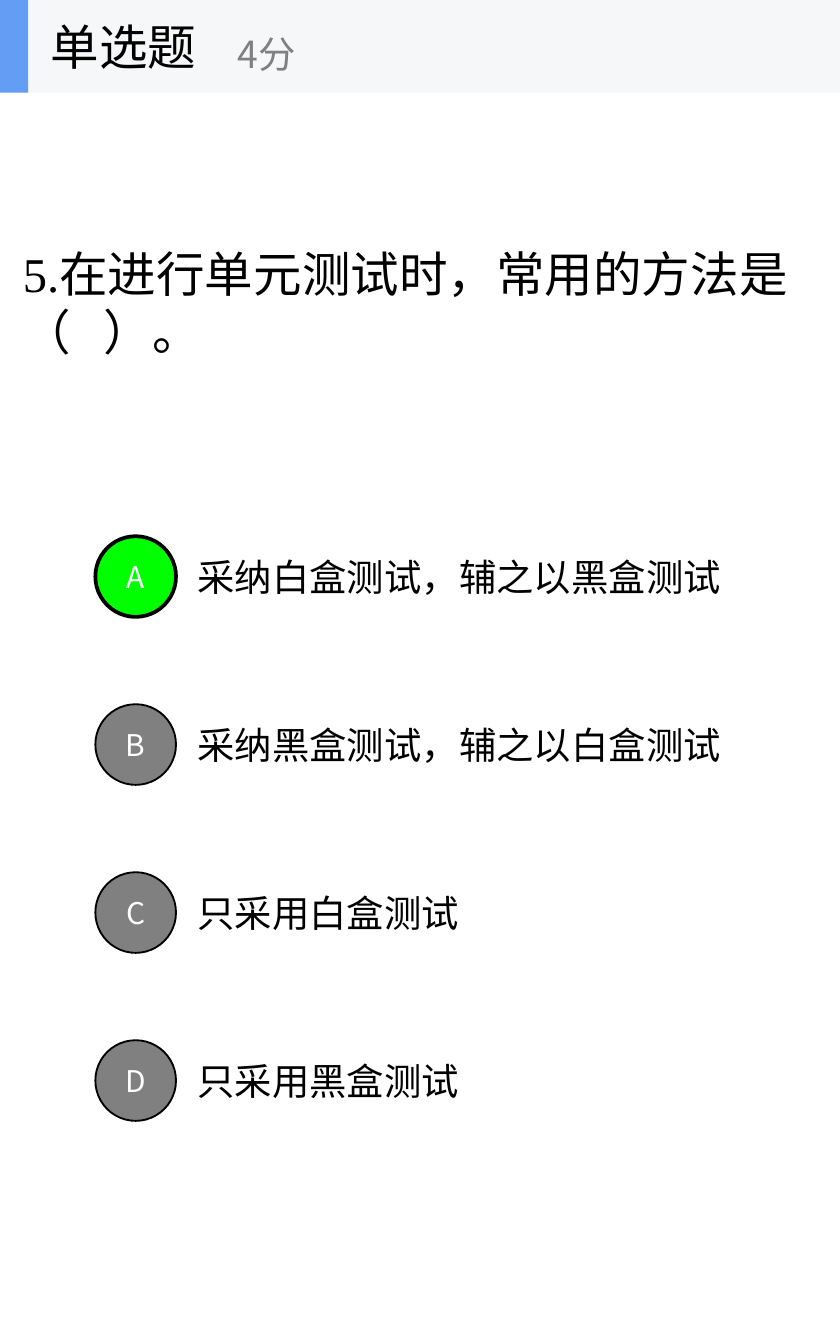
from typing import NamedTuple

from pptx import Presentation
from pptx.dml.color import RGBColor
from pptx.enum.lang import MSO_LANGUAGE_ID
from pptx.enum.shapes import MSO_SHAPE
from pptx.enum.text import MSO_ANCHOR, MSO_AUTO_SIZE, PP_ALIGN
from pptx.oxml import parse_xml
from pptx.oxml.ns import nsdecls
from pptx.util import Inches, Pt

RECT, OVAL = MSO_SHAPE.RECTANGLE, MSO_SHAPE.OVAL
LEFT, CENTER = PP_ALIGN.LEFT, PP_ALIGN.CENTER
MIDDLE, NO_FIT = MSO_ANCHOR.MIDDLE, MSO_AUTO_SIZE.NONE
CHINESE = MSO_LANGUAGE_ID.SIMPLIFIED_CHINESE

BLACK = RGBColor(0x00, 0x00, 0x00)
WHITE = RGBColor(0xFF, 0xFF, 0xFF)
GRAY = RGBColor(0x80, 0x80, 0x80)
GREEN = RGBColor(0x00, 0xFF, 0x00)
BAND = RGBColor(0xF6, 0xF7, 0xF8)
BLUE = RGBColor(0x63, 0x9E, 0xF4)

SANS, SERIF = "Noto Sans CJK SC", "Times New Roman"
WIDTH, HEIGHT = 6.25, 10
HEADER = 0.69
ROW = HEIGHT / 8
FIRST_CENTER = 4.29
MARK, ANSWER = 0.6, 0.94


class Box(NamedTuple):
    left: float
    top: float
    width: float
    height: float

    def emu(self) -> list:
        return [Inches(v) for v in self]


class Option(NamedTuple):
    letter: str
    answer: str
    correct: bool = False


OPTIONS = [
    Option("A", "采纳白盒测试，辅之以黑盒测试", correct=True),
    Option("B", "采纳黑盒测试，辅之以白盒测试"),
    Option("C", "只采用白盒测试"),
    Option("D", "只采用黑盒测试"),
]


def write(s, text: str, *, size: int, font: str = SANS, color: RGBColor = BLACK,
          align: PP_ALIGN = LEFT, wrap: bool = True) -> None:
    tf = s.text_frame
    tf.word_wrap = wrap
    tf.auto_size = NO_FIT
    tf.vertical_anchor = MIDDLE
    p = tf.paragraphs[0]
    p.alignment = align
    r = p.add_run()
    r.text = text
    r.font.size = Pt(size)
    r.font.name = font
    r.font.color.rgb = color
    r.font.language_id = CHINESE
    latin = r.font._element.find("{*}latin")
    latin.addnext(parse_xml(f'<a:ea {nsdecls("a")} typeface="{SANS}"/>'))


def add_text(shapes, box: Box, text: str, **fmt) -> None:
    write(shapes.add_textbox(*box.emu()), text, **fmt)


def add_filled(shapes, kind: MSO_SHAPE, box: Box, fill: RGBColor, line: float = 0):
    s = shapes.add_shape(kind, *box.emu())
    s.shadow.inherit = False
    s.fill.solid()
    s.fill.fore_color.rgb = fill
    if line:
        s.line.color.rgb = BLACK
        s.line.width = Pt(line)
    else:
        s.line.fill.background()
    return s


def add_question(s, text: str) -> None:
    title = s.shapes.title
    title.left, title.top, title.width, title.height = Box(0.07, HEADER, 6.04, HEIGHT * 0.312).emu()
    write(title, text, size=26, font=SERIF)


def add_answer(shapes, row: int, option: Option) -> None:
    top = FIRST_CENTER + row * ROW - ANSWER / 2
    add_text(shapes, Box(1.37, top, WIDTH * 0.7, ANSWER), option.answer, size=20, font=SERIF)


def add_mark(shapes, row: int, option: Option) -> None:
    box = Box(0.71, FIRST_CENTER + row * ROW - MARK / 2, MARK, MARK)
    fill, line = (GREEN, 2) if option.correct else (GRAY, 1)
    mark = add_filled(shapes, OVAL, box, fill, line)
    write(mark, option.letter, size=16, color=WHITE, align=CENTER)


def add_header(shapes, kind: str, points: str) -> None:
    group = shapes.add_group_shape().shapes
    add_filled(group, RECT, Box(0, 0, WIDTH, HEADER), BAND)
    add_filled(group, RECT, Box(0, 0, 0.21, HEADER), BLUE)
    add_text(group, Box(0.28, 0, WIDTH / 3, HEADER), kind, size=26, wrap=False)
    add_text(group, Box(1.67, 0.12, WIDTH * 0.4, 0.56), points, size=20, color=GRAY, wrap=False)


def main() -> None:
    prs = Presentation()
    prs.slide_width, prs.slide_height = Inches(WIDTH), Inches(HEIGHT)
    s = prs.slides.add_slide(prs.slide_layouts[5])
    add_question(s, "5.在进行单元测试时，常用的方法是（   ）。")
    for draw in (add_answer, add_mark):
        for row, option in enumerate(OPTIONS):
            draw(s.shapes, row, option)
    add_header(s.shapes, "单选题", "4分")
    prs.save("out.pptx")


if __name__ == "__main__":
    main()
